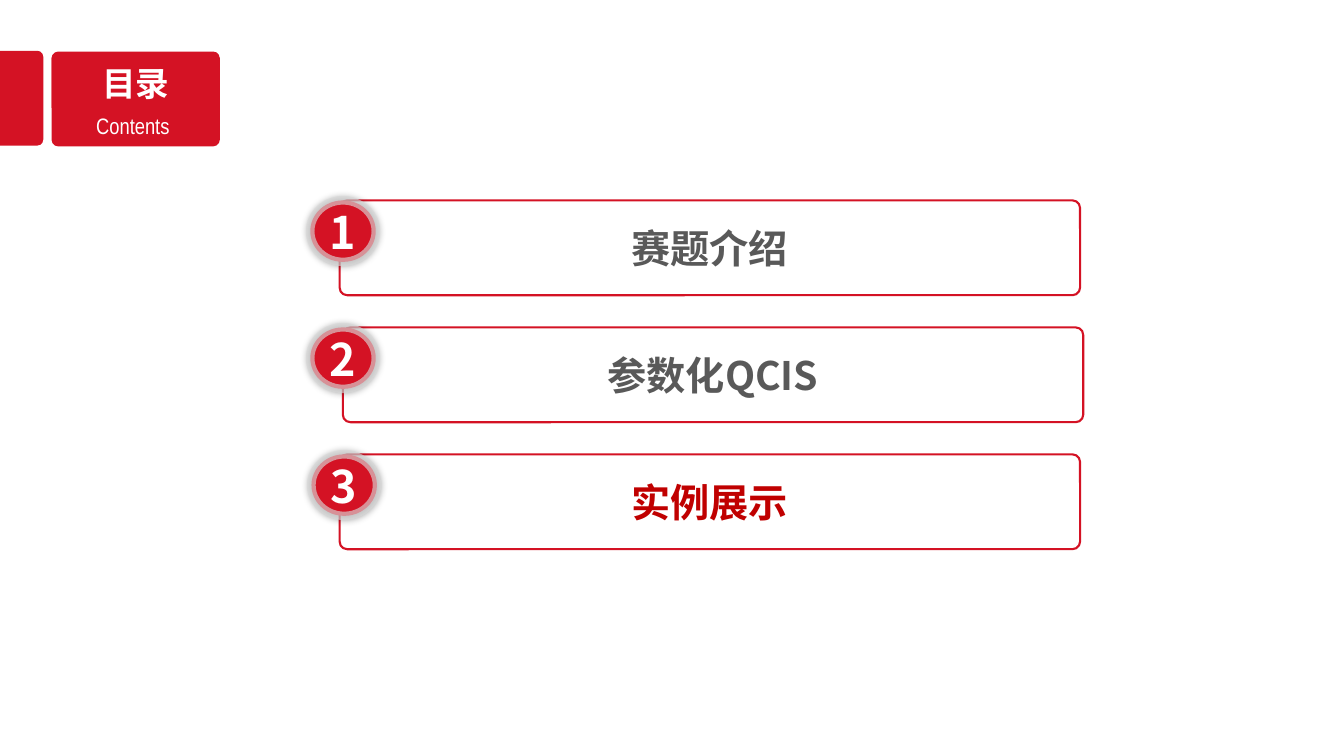
from typing import Any, NamedTuple

from lxml.etree import SubElement
from pptx import Presentation
from pptx.dml.color import RGBColor
from pptx.enum.shapes import MSO_SHAPE
from pptx.enum.text import MSO_ANCHOR, MSO_AUTO_SIZE, PP_ALIGN
from pptx.oxml.ns import qn
from pptx.util import Cm, Pt

HUES = {"red": "D41224", "deep": "C00000", "grey": "595959",
        "ring": "D9D9D9", "white": "FFFFFF", "black": "000000"}
SANS = "Noto Sans CJK SC"
FRAME = {"vertical_anchor": MSO_ANCHOR.MIDDLE, "word_wrap": False,
         "auto_size": MSO_AUTO_SIZE.NONE}
TOP, STEP = 5.05, 3.2


class Box(NamedTuple):
    left: float
    top: float
    width: float
    height: float


class Topic(NamedTuple):
    text: str
    hue: str
    left: float
    badge: float


TOPICS = [
    Topic("赛题介绍", "grey", 8.56, 7.82),
    Topic("参数化QCIS", "grey", 8.64, 7.82),
    Topic("实例展示", "deep", 8.56, 7.85),
]


def tint(name: str) -> RGBColor:
    return RGBColor.from_string(HUES[name])


def place(shape: Any, box: Box) -> None:
    for key, size in box._asdict().items():
        setattr(shape, key, Cm(size))


def paint(shape: Any, hue: str) -> None:
    shape.fill.solid()
    shape.fill.fore_color.rgb = tint(hue)


def write(shape: Any, text: str, size: int, hue: str,
          font: str = SANS, bold: bool = True) -> None:
    frame = shape.text_frame
    for key, value in FRAME.items():
        setattr(frame, key, value)
    para = frame.paragraphs[0]
    para.alignment = PP_ALIGN.CENTER
    run = para.add_run()
    run.text = text
    style = {"size": Pt(size), "bold": bold, "name": font}
    for key, value in style.items():
        setattr(run.font, key, value)
    run.font.color.rgb = tint(hue)
    SubElement(run._r.get_or_add_rPr(), qn("a:ea"), typeface=SANS)


def draw(shapes: Any, kind: MSO_SHAPE, box: Box, fill: str = "",
         line: str = "", width: float = 0) -> Any:
    shape = shapes.add_shape(kind, *map(Cm, box))
    shape.shadow.inherit = False
    if fill:
        paint(shape, fill)
    else:
        shape.fill.background()
    if line:
        shape.line.color.rgb = tint(line)
        shape.line.width = Pt(width)
    else:
        shape.line.fill.background()
    return shape


def glow(badge: Any) -> None:
    """Make the ring translucent and spread a soft shadow around it."""
    props = badge.element.spPr
    ring = props.find(f"{qn('a:ln')}/{qn('a:solidFill')}/{qn('a:srgbClr')}")
    SubElement(ring, qn("a:alpha"), val="64000")
    cast = SubElement(props.find(qn("a:effectLst")), qn("a:outerShdw"),
                      blurRad=str(Pt(5)), dist="0", dir="0",
                      algn="ctr", rotWithShape="0")
    shade = SubElement(cast, qn("a:srgbClr"), val=HUES["black"])
    SubElement(shade, qn("a:alpha"), val="40000")


def header(shapes: Any) -> None:
    tab = draw(shapes, MSO_SHAPE.ROUND_2_SAME_RECTANGLE,
               Box(-0.65, 1.93, 2.39, 1.09), "red")
    tab.rotation = 90
    tab.adjustments[0] = 0.14
    card = draw(shapes, MSO_SHAPE.ROUNDED_RECTANGLE,
                Box(1.3, 1.3, 4.24, 2.39), "red")
    card.adjustments[0] = 0.07
    title = shapes.title
    place(title, Box(1.3, 1.45, 4.24, 1.27))
    paint(title, "red")
    write(title, "目录", 24, "white", "Calibri")
    card.element.addnext(title.element)
    label = shapes.add_textbox(*map(Cm, Box(0.81, 2.69, 5.08, 0.94)))
    write(label, "Contents", 16, "white", "Arial Narrow", False)


def entry(shapes: Any, rank: int, topic: Topic) -> None:
    top = TOP + rank * STEP
    bar = draw(shapes, MSO_SHAPE.ROUNDED_RECTANGLE,
               Box(topic.left, top, 18.66, 2.39), line="red", width=1.5)
    bar.adjustments[0] = 0.08
    write(bar, topic.text, 28, topic.hue)
    badge = draw(shapes, MSO_SHAPE.OVAL,
                 Box(topic.badge, top, 1.65, 1.55), "red", "ring", 6)
    glow(badge)
    write(badge, str(rank + 1), 32, "white")


def main() -> None:
    deck = Presentation()
    deck.slide_width, deck.slide_height = Cm(33.87), Cm(19.05)
    shapes = deck.slides.add_slide(deck.slide_layouts[5]).shapes
    header(shapes)
    for rank, topic in enumerate(TOPICS):
        entry(shapes, rank, topic)
    deck.save("out.pptx")


if __name__ == "__main__":
    main()
